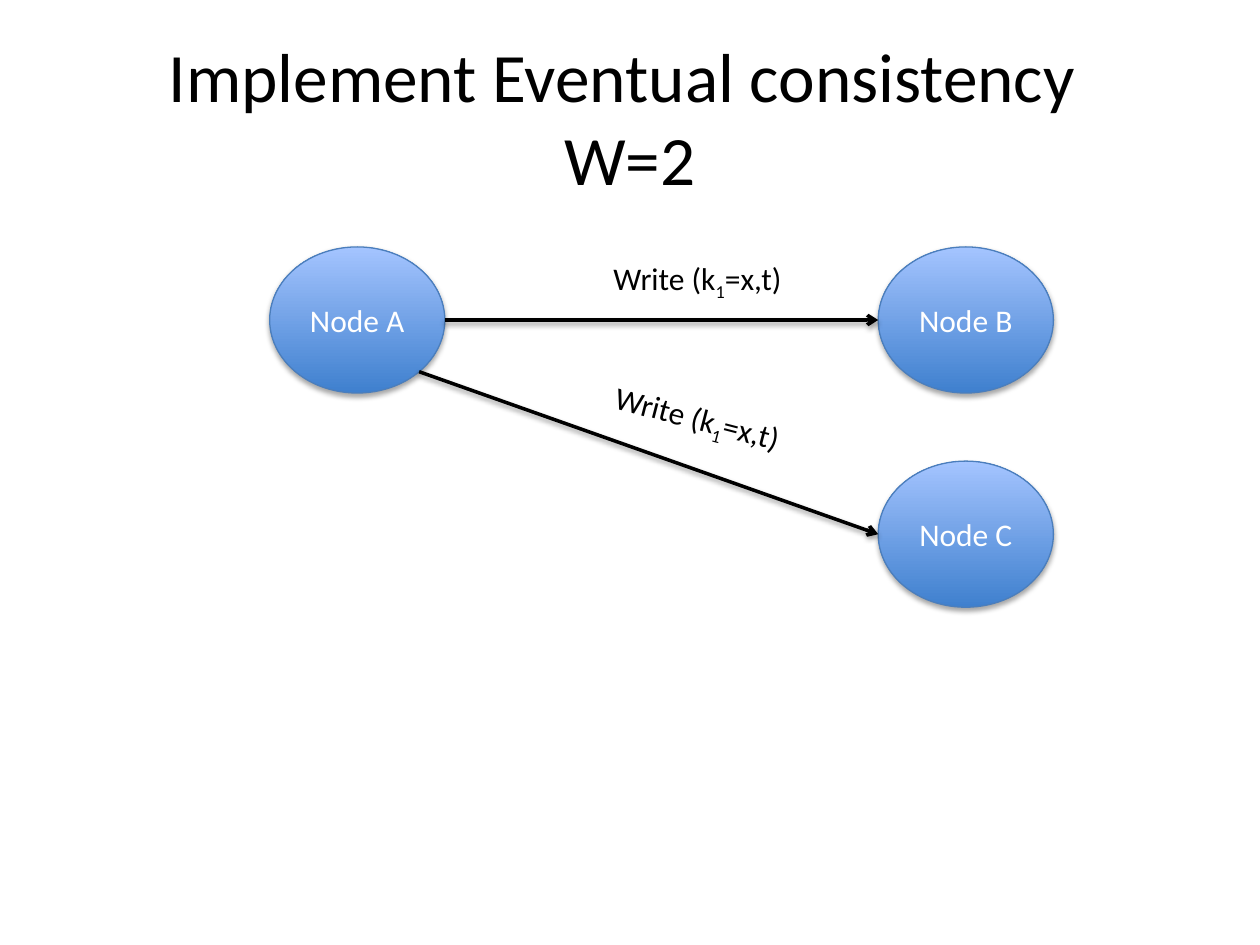
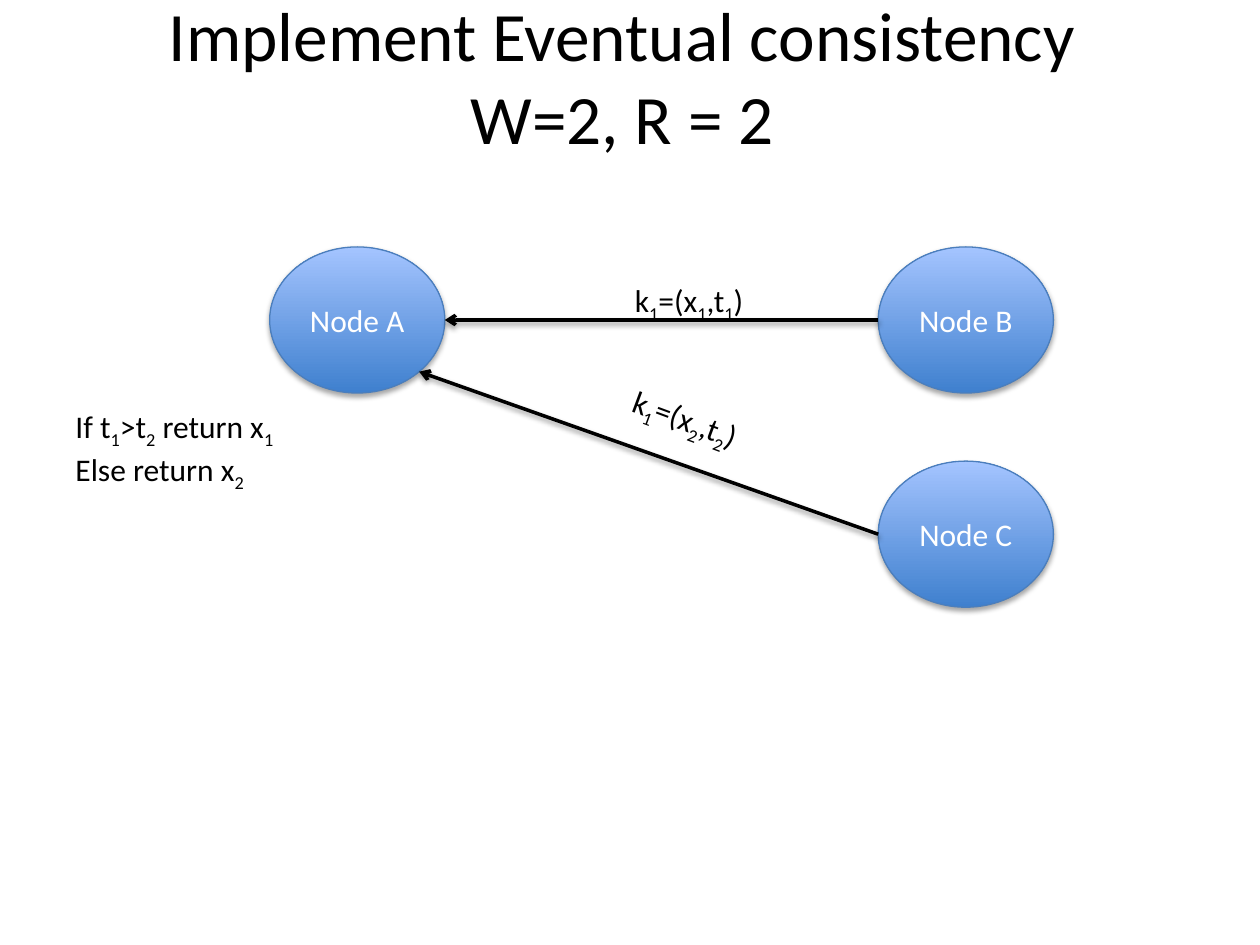
import math

import pptx
import pptx.util
import pptx.dml.color
import pptx.enum.dml
import pptx.enum.shapes
import pptx.enum.text
import pptx.oxml
import pptx.oxml.ns

presentation = pptx.Presentation()
presentation.slide_width = pptx.util.Inches(10)
presentation.slide_height = pptx.util.Inches(7.5)

# The slide is a grid of 100 columns by 75 rows.
column = presentation.slide_width / 100
row = presentation.slide_height / 75

font_name = "Calibri"
black, white = "000000", "FFFFFF"
node_bottom, node_top, node_edge = "3F80CE", "A4C4FF", "4B7EBC"
anchors = pptx.enum.text.MSO_ANCHOR
alignments = pptx.enum.text.PP_ALIGN

title_style = {"size": 39.6, "color": black, "align": alignments.CENTER}
node_style = {"size": 18, "color": white, "align": alignments.CENTER}
label_style = {"size": 18, "color": black, "align": alignments.LEFT}
title_frame = {"word_wrap": True, "vertical_anchor": anchors.MIDDLE}
node_frame = {"word_wrap": True, "vertical_anchor": anchors.MIDDLE}
label_frame = {"word_wrap": False, "vertical_anchor": anchors.TOP,
               "auto_size": pptx.enum.text.MSO_AUTO_SIZE.SHAPE_TO_FIT_TEXT}

# Nodes stand on two columns and two rows; sizes are in grid units.
node_width, node_height = 13.9, 11.6
node_left, node_first_top = 21.4, 19.6
column_step, row_step = 48.3, 17
nodes = [("Node A", 0, 0), ("Node B", 1, 0), ("Node C", 1, 1)]

# Each link joins a point on Node A to the left end of another node.
center_x = node_left + node_width / 2
center_y = node_first_top + node_height / 2
diagonal = math.cos(math.pi / 4)
right_x = node_left + column_step
links = [
    ((node_left + node_width, center_y), (right_x, center_y)),
    ((center_x + diagonal * node_width / 2, center_y + diagonal * node_height / 2),
     (right_x, center_y + row_step)),
]

# In a text, "_" lowers the one character that follows it.
# Labels give lines, left, top, width, height and rotation.
slides = [
    {"title": ["Implement Eventual consistency ", "W=2"],
     "title_box": (3, 12.5),
     "toward_a": False,
     "labels": [(["Write (k_1=x,t)"], 47.7, 20.1, 15.8, 4, 0),
                (["Write (k_1=x,t)"], 47.7, 31.2, 15.8, 4, 14.6)]},
    {"title": ["Implement Eventual consistency ", "W=2, R = 2 "],
     "title_box": (0, 12),
     "toward_a": True,
     "labels": [(["k_1=(x_1,t_1)"], 49.4, 21.8, 11.1, 4, 0),
                (["k_1=(x_2,t_2)"], 49.1, 31.3, 11.1, 4, 20.3),
                (["If t_1>t_2 return x_1", "Else return x_2"], 5, 31.8, 18.5, 7.1, 0)]},
]


def colour(hex_string):
    """Turn a hex string into a colour value."""
    return pptx.dml.color.RGBColor.from_string(hex_string)


def write_text(shape, lines, style, frame_format):
    """Write one paragraph per line, lowering the characters marked by "_"."""
    for name, value in frame_format.items():
        setattr(shape.text_frame, name, value)
    for index, line in enumerate(lines):
        frame = shape.text_frame
        paragraph = frame.add_paragraph() if index else frame.paragraphs[0]
        paragraph.alignment = style["align"]
        first, *marked = line.split("_")
        pieces = [(first, False)]
        for part in marked:
            pieces += [(part[0], True), (part[1:], False)]
        for text, lowered in pieces:
            if not text:
                continue
            run = paragraph.add_run()
            run.text = text
            font_format = {"name": font_name, "size": pptx.util.Pt(style["size"])}
            for name, value in font_format.items():
                setattr(run.font, name, value)
            run.font.color.rgb = colour(style["color"])
            if lowered:
                run.font._element.set("baseline", "-25000")


for content in slides:
    slide = presentation.slides.add_slide(presentation.slide_layouts[6])
    shadowed = []

    title_top, title_height = content["title_box"]
    title = slide.shapes.add_textbox(
        int(5 * column), int(title_top * row), int(90 * column), int(title_height * row))
    write_text(title, content["title"], title_style, title_frame)

    for name, node_column, node_row in nodes:
        node = slide.shapes.add_shape(
            pptx.enum.shapes.MSO_SHAPE.OVAL,
            int((node_left + node_column * column_step) * column),
            int((node_first_top + node_row * row_step) * row),
            int(node_width * column), int(node_height * row))
        node.fill.gradient()
        node.fill.gradient_angle = 90
        for stop, shade in zip(node.fill.gradient_stops, (node_bottom, node_top)):
            stop.color.rgb = colour(shade)
        for stop, position in zip(node.fill.gradient_stops, (0, 1)):
            stop.position = position
        node.line.color.rgb = colour(node_edge)
        node.line.width = pptx.util.Pt(0.75)
        write_text(node, [name], node_style, node_frame)
        shadowed.append((node, 35, 1.8))

    for link in links:
        start, end = reversed(link) if content["toward_a"] else link
        arrow = slide.shapes.add_connector(
            pptx.enum.shapes.MSO_CONNECTOR.STRAIGHT,
            int(start[0] * column), int(start[1] * row),
            int(end[0] * column), int(end[1] * row))
        arrow.line.color.rgb = colour(black)
        arrow.line.width = pptx.util.Pt(2)
        arrow.line._get_or_add_ln().append(pptx.oxml.parse_xml(
            f'<a:tailEnd {pptx.oxml.ns.nsdecls("a")} type="arrow"/>'))
        shadowed.append((arrow, 38, 1.6))

    for shape, opacity, distance in shadowed:
        shape._element.spPr.append(pptx.oxml.parse_xml(
            f'<a:effectLst {pptx.oxml.ns.nsdecls("a")}>'
            f'<a:outerShdw blurRad="{pptx.util.Pt(3.1)}" dist="{pptx.util.Pt(distance)}"'
            f' dir="5400000" rotWithShape="0"><a:srgbClr val="{black}">'
            f'<a:alpha val="{opacity * 1000}"/></a:srgbClr></a:outerShdw></a:effectLst>'))

    for lines, left, top, width, height, rotation in content["labels"]:
        label = slide.shapes.add_textbox(
            int(left * column), int(top * row), int(width * column), int(height * row))
        label.rotation = rotation
        write_text(label, lines, label_style, label_frame)

presentation.save("out.pptx")
